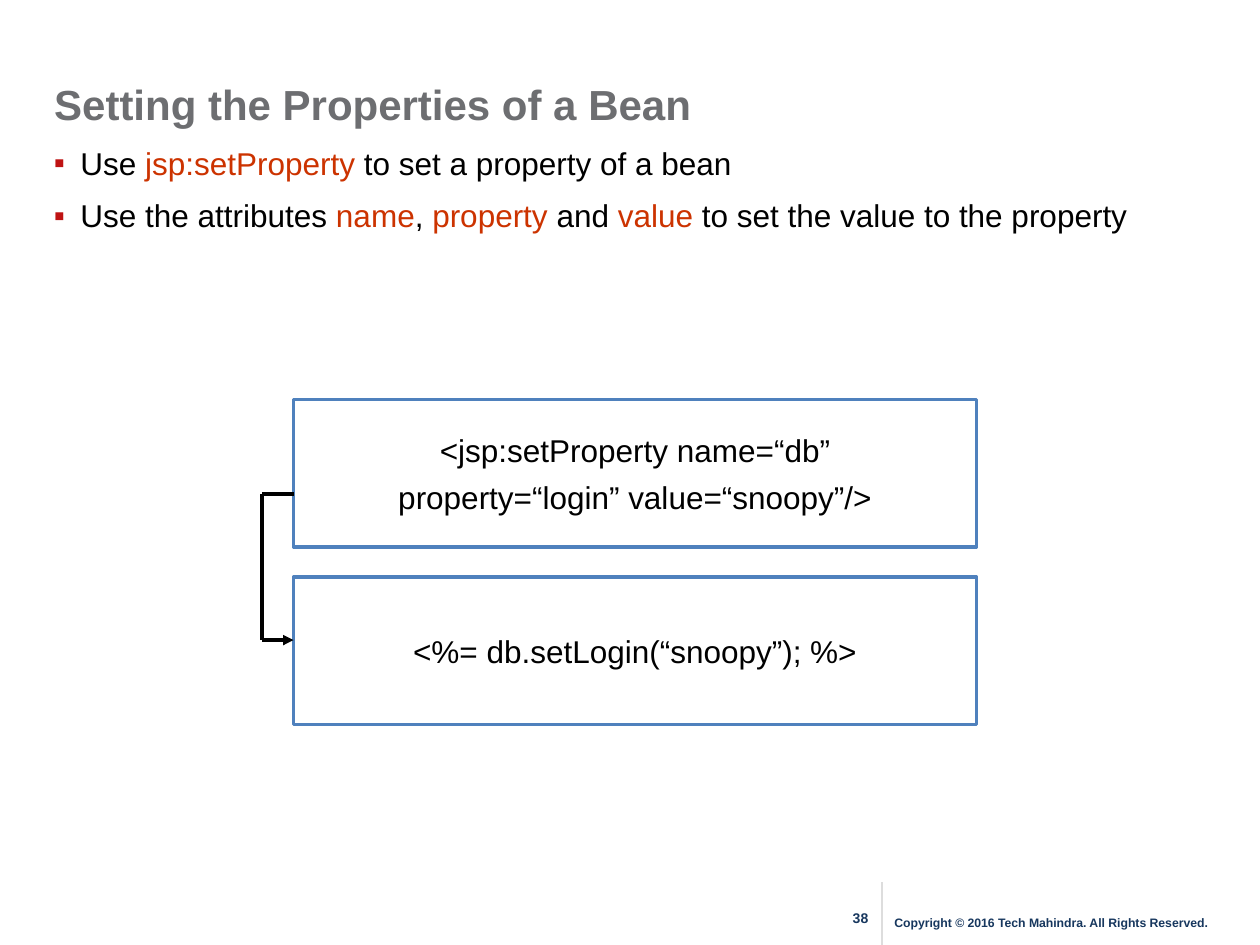
from dataclasses import dataclass

from lxml import etree
from pptx import Presentation
from pptx.dml.color import RGBColor
from pptx.enum import shapes, text
from pptx.oxml import ns
from pptx.util import Inches, Pt


@dataclass(frozen=True)
class Theme:
    """Colours, type sizes and line widths of the slide."""
    font: str = "Arial"
    title: str = "6D6E71"
    ink: str = "000000"
    keyword: str = "CC3300"
    bullet: str = "BF1313"
    box: str = "4F81BD"
    footer: str = "17375E"
    divider: str = "DDDDDD"
    title_size: float = 24
    body_size: float = 18
    number_size: float = 8
    copyright_size: float = 7
    gap: float = 5.4
    spacing: float = 1.14
    line: float = 2
    thin_line: float = 1.5


T = Theme()


def add_xml(parent, tag, **attrs):
    """Append a DrawingML element to a parent."""
    return etree.SubElement(parent, ns.qn(tag), attrs)


def style(r, size, color, bold=False):
    """Format a run in the theme font."""
    r.font.name, r.font.size, r.font.bold = T.font, Pt(size), bold
    r.font.color.rgb = RGBColor.from_string(color)


def add_line(s, x1, y1, x2, y2, color, width, arrow=False):
    """Draw a straight line, with an arrowhead at its end if asked."""
    c = s.shapes.add_connector(shapes.MSO_CONNECTOR.STRAIGHT, x1, y1, x2, y2)
    c.line.color.rgb = RGBColor.from_string(color)
    c.line.width = Pt(width)
    if arrow:
        add_xml(c.line._get_or_add_ln(), "a:tailEnd", type="triangle")
    add_xml(c._element.spPr, "a:effectLst")


def add_title(s, x, y, w, h, title):
    """Place and format the title placeholder."""
    sp = s.shapes.title
    sp.left, sp.top, sp.width, sp.height = x, y, w, h
    tf = sp.text_frame
    tf.text = title
    tf.vertical_anchor = text.MSO_ANCHOR.MIDDLE
    p = tf.paragraphs[0]
    p.alignment = text.PP_ALIGN.LEFT
    style(p.runs[0], T.title_size, T.title, True)


def add_bullets(s, x, y, w, h, items):
    """Write bulleted items whose odd parts are keywords."""
    tf = s.shapes.add_textbox(x, y, w, h).text_frame
    tf.word_wrap = True
    for i, parts in enumerate(items):
        p = tf.add_paragraph() if i else tf.paragraphs[0]
        p.line_spacing = T.spacing
        p.space_before = Pt(T.gap if i else 0)
        pPr = p._p.get_or_add_pPr()
        pPr.set("marL", str(Inches(0.21)))
        pPr.set("indent", str(-Inches(0.21)))
        add_xml(add_xml(pPr, "a:buClr"), "a:srgbClr", val=T.bullet)
        add_xml(pPr, "a:buFont", typeface=T.font)
        add_xml(pPr, "a:buChar", char="▪")
        for j, part in enumerate(parts):
            r = p.add_run()
            r.text = part
            style(r, T.body_size, T.keyword if j % 2 else T.ink)


def add_code_box(s, x, y, w, h, code):
    """Draw an outlined box with centred code lines."""
    sp = s.shapes.add_shape(shapes.MSO_SHAPE.RECTANGLE, x, y, w, h)
    sp.shadow.inherit = False
    sp.fill.background()
    sp.line.color.rgb = RGBColor.from_string(T.box)
    sp.line.width = Pt(T.line)
    tf = sp.text_frame
    tf.word_wrap = False
    tf.vertical_anchor = text.MSO_ANCHOR.MIDDLE
    tf.text = code
    for i, p in enumerate(tf.paragraphs):
        p.alignment = text.PP_ALIGN.CENTER
        p.space_before = Pt(T.gap if i else 0)
        style(p.runs[0], T.body_size, T.ink)


def add_translation(s, x, y, w, h, codes):
    """Stack two code boxes and link them with an elbow on the left."""
    box_h, reach = Inches(1.17), Inches(0.25)
    for i, code in enumerate(codes):
        add_code_box(s, x, y + i * (h - box_h), w, box_h, code)
    start, end, side = y + Inches(0.75), y + Inches(1.91), x - reach
    add_line(s, x, start, side, start, T.ink, T.line)
    add_line(s, side, start, side, end, T.ink, T.line)
    add_line(s, side, end, x, end, T.ink, T.line, arrow=True)


def add_label(s, x, y, w, h, label, size, align):
    """Write one bold footer label."""
    tf = s.shapes.add_textbox(x, y, w, h).text_frame
    tf.word_wrap = True
    tf.text = label
    p = tf.paragraphs[0]
    p.alignment = align
    style(p.runs[0], size, T.footer, True)
    return tf


def add_footer(s, x, y, w, h, number, notice):
    """Place the page number, divider and copyright notice."""
    divider = x + Inches(0.42)
    add_label(s, x, y + Inches(0.17), Inches(0.5), Inches(0.3), number,
              T.number_size, text.PP_ALIGN.CENTER)
    add_line(s, divider, y, divider, y + h, T.divider, T.thin_line)
    tf = add_label(s, divider, y + Inches(0.2), x + w - divider, Inches(0.25),
                   notice, T.copyright_size, text.PP_ALIGN.LEFT)
    tf.vertical_anchor = text.MSO_ANCHOR.MIDDLE


def main():
    """Build the slide and save it."""
    prs = Presentation()
    prs.slide_width, prs.slide_height = Inches(10), Inches(7.5)
    s = prs.slides.add_slide(prs.slide_layouts.get_by_name("Title Only"))
    add_title(s, Inches(0.33), Inches(0.6), Inches(7.33), Inches(0.45),
              "Setting the Properties of a Bean")
    add_bullets(s, Inches(0.33), Inches(1.05), Inches(9.17), Inches(6), [
        ["Use ", "jsp:setProperty", " to set a property of a bean"],
        ["Use the attributes ", "name", ", ", "property", " and ", "value",
         " to set the value to the property"],
    ])
    add_translation(s, Inches(2.33), Inches(3.17), Inches(5.42), Inches(2.58), [
        "<jsp:setProperty name=“db”\nproperty=“login” value=“snoopy”/>",
        "<%= db.setLogin(“snoopy”); %>",
    ])
    add_footer(s, Inches(6.58), Inches(7), Inches(3.34), Inches(0.5), "38",
               "Copyright © 2016 Tech Mahindra. All Rights Reserved.")
    prs.save("out.pptx")


if __name__ == "__main__":
    main()
